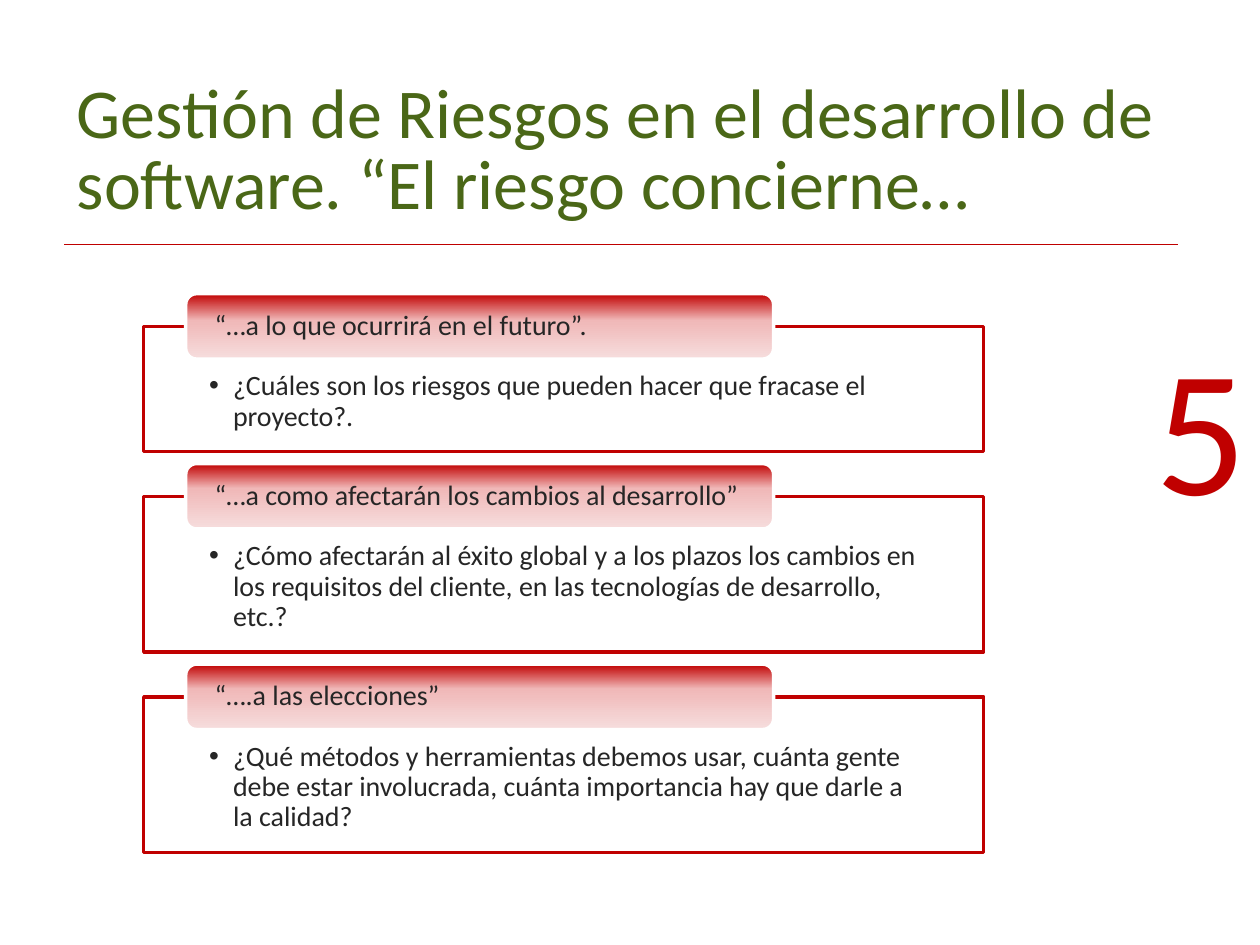
from copy import deepcopy
from dataclasses import dataclass

from pptx import Presentation
from pptx.dml.color import RGBColor
from pptx.enum.shapes import MSO_CONNECTOR, MSO_SHAPE
from pptx.enum.text import MSO_ANCHOR, PP_ALIGN
from pptx.oxml.ns import qn
from pptx.oxml.xmlchemy import OxmlElement
from pptx.util import Pt


@dataclass(frozen=True)
class Theme:
    font: str = "Calibri"
    title: str = "4A6717"
    text: str = "262626"
    red: str = "C00000"
    rule: str = "BF0000"
    white: str = "FFFFFF"
    pink: str = "F0B8B8"
    pale: str = "F6DDDD"
    head_size: float = 40
    body_size: float = 16
    page_size: float = 103


THEME = Theme()

RISKS = [
    ("“…a lo que ocurrirá en el futuro”.",
     "¿Cuáles son los riesgos que pueden hacer que fracase el proyecto?.",
     71.5, 0.41),
    ("“…a como afectarán los cambios al desarrollo”",
     "¿Cómo afectarán al éxito global y a los plazos los cambios en los "
     "requisitos del cliente, en las tecnologías de desarrollo, etc.?",
     89, 0.38),
    ("“….a las elecciones”",
     "¿Qué métodos y herramientas debemos usar, cuánta gente debe estar "
     "involucrada, cuánta importancia hay que darle a la calidad?",
     89, 0.38),
]
GAP = 25.6
TAB_HIGH = 37.4


def color(code):
    return RGBColor.from_string(code)


def write(shape, text, size, tint, anchor, insets=(7.2, 3.6, 7.2, 3.6),
          align=PP_ALIGN.LEFT, spacing=None):
    """Fill the shape with one paragraph and return that paragraph."""
    frame = shape.text_frame
    frame.word_wrap = True
    frame.vertical_anchor = anchor
    (frame.margin_left, frame.margin_top,
     frame.margin_right, frame.margin_bottom) = map(Pt, insets)
    para = frame.paragraphs[0]
    para.alignment = align
    if spacing:
        para.line_spacing = spacing
    run = para.add_run()
    run.text = text
    run.font.name = THEME.font
    run.font.size = Pt(size)
    run.font.color.rgb = color(tint)
    return para


def add_bullet(para, indent):
    props = para._p.get_or_add_pPr()
    props.set("marL", str(Pt(indent)))
    props.set("indent", str(Pt(-indent)))
    font = OxmlElement("a:buFont")
    font.set("typeface", "Arial")
    mark = OxmlElement("a:buChar")
    mark.set("char", "•")
    props.extend([font, mark])


def add_block(slide, kind, box, edge):
    """Add a preset shape with a 2 pt outline and no shadow."""
    shape = slide.shapes.add_shape(kind, *map(Pt, box))
    shape.shadow.inherit = False
    shape.line.color.rgb = color(edge)
    shape.line.width = Pt(2)
    return shape


def shade(shape, stops):
    """Give the shape a gradient that runs from top to bottom."""
    fill = shape.fill
    fill.gradient()
    fill.gradient_angle = 270
    items = shape._element.spPr.find(qn("a:gradFill")).find(qn("a:gsLst"))
    while len(items) < len(stops):
        items.append(deepcopy(items[0]))
    for stop, (place, tint) in zip(fill.gradient_stops, stops):
        stop.position = place
        stop.color.rgb = color(tint)


def add_title(slide, left, top, width, height):
    box = slide.shapes.add_textbox(*map(Pt, (left, top, width, height)))
    write(box, "Gestión de Riesgos en el desarrollo de software. "
          "“El riesgo concierne…", THEME.head_size, THEME.title,
          MSO_ANCHOR.MIDDLE, spacing=0.85)
    base = Pt(top + height + 2.2)
    rule = slide.shapes.add_connector(
        MSO_CONNECTOR.STRAIGHT, Pt(left), base, Pt(left + width - 1.4), base)
    rule.line.color.rgb = color(THEME.rule)
    rule.line.width = Pt(0.75)
    rule._element.spPr.append(OxmlElement("a:effectLst"))


def add_page(slide, left, top, width, height):
    box = slide.shapes.add_textbox(*map(Pt, (left, top, width, height)))
    write(box, "5", THEME.page_size, THEME.red, MSO_ANCHOR.BOTTOM,
          align=PP_ALIGN.RIGHT)


def add_risk(slide, left, top, width, height, head, body, middle):
    """Draw a framed question with its heading tab centred on the top edge."""
    frame = add_block(slide, MSO_SHAPE.RECTANGLE,
                      (left, top, width, height), THEME.red)
    frame.fill.solid()
    frame.fill.fore_color.rgb = color(THEME.white)
    para = write(frame, body, THEME.body_size, THEME.text, MSO_ANCHOR.TOP,
                 (37.4, 26, 37.4, 8.6), spacing=0.9)
    add_bullet(para, 13.7)

    tab = add_block(slide, MSO_SHAPE.ROUNDED_RECTANGLE,
                    (left + width * 0.05, top - TAB_HIGH / 2,
                     width * 0.7, TAB_HIGH), THEME.white)
    shade(tab, [(0, THEME.red), (middle, THEME.pink), (1, THEME.pale)])
    write(tab, head, THEME.body_size, THEME.text, MSO_ANCHOR.MIDDLE,
          (14.8, 0, 14.8, 0), spacing=0.9)


def add_list(slide, left, top, width):
    for head, body, height, middle in RISKS:
        add_risk(slide, left, top, width, height, head, body, middle)
        top += height + GAP


def main():
    deck = Presentation()
    deck.slide_width, deck.slide_height = Pt(720), Pt(540)
    slide = deck.slides.add_slide(deck.slide_layouts[6])
    add_title(slide, 36.8, 37.4, 638, 100)
    add_page(slide, 546.5, 224.6, 172.8, 82.8)
    add_list(slide, 82.1, 186.5, 480)
    deck.save("out.pptx")


if __name__ == "__main__":
    main()
